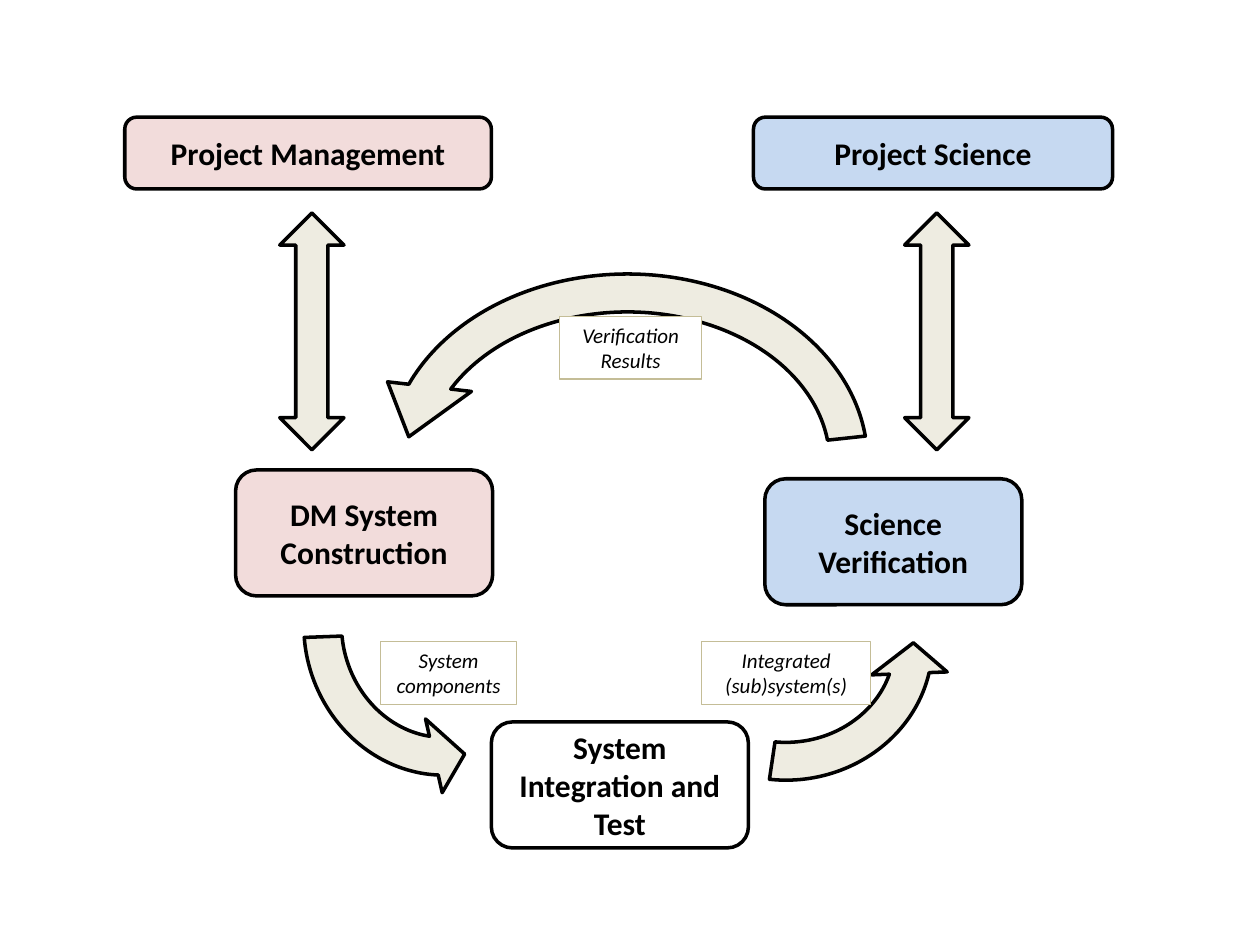
from pptx import Presentation
from pptx.dml.color import RGBColor
from pptx.enum.shapes import MSO_SHAPE
from pptx.enum.text import MSO_ANCHOR, MSO_AUTO_SIZE, PP_ALIGN
from pptx.util import Inches, Pt

ROUND, RECT = MSO_SHAPE.ROUNDED_RECTANGLE, MSO_SHAPE.RECTANGLE
UP_DOWN, CURVED = MSO_SHAPE.UP_DOWN_ARROW, MSO_SHAPE.CIRCULAR_ARROW
MIDDLE, TOP = MSO_ANCHOR.MIDDLE, MSO_ANCHOR.TOP
CENTER = PP_ALIGN.CENTER
GROW = MSO_AUTO_SIZE.SHAPE_TO_FIT_TEXT

BLACK = RGBColor(0x00, 0x00, 0x00)
WHITE = RGBColor(0xFF, 0xFF, 0xFF)
PINK = RGBColor(0xF2, 0xDC, 0xDB)
BLUE = RGBColor(0xC6, 0xD9, 0xF1)
CREAM = RGBColor(0xEE, 0xEC, 0xE1)
TAN = RGBColor(0xC4, 0xBD, 0x97)

STAGE_W, STAGE_H = 2.04, 1
HEADER_Y, HEADER_H = 0.93, 0.57
LABEL_H = 0.5

BOXES = [
    ("DM System Construction", 1.87, 3.73, STAGE_W, STAGE_H, PINK),
    ("System Integration and Test", 3.9, 5.73, STAGE_W, STAGE_H, WHITE),
    ("Science Verification", 6.07, 3.8, STAGE_W, STAGE_H, BLUE),
    ("Project Science", 5.98, HEADER_Y, 2.85, HEADER_H, BLUE),
    ("Project Management", 0.99, HEADER_Y, 2.91, HEADER_H, PINK),
]
LONG_ARC = (0.09, 8.56, 203.53, 111.7, 0.1)
SHORT_ARC = (0.125, 8.56, 204.58, 152.79, 0.125)
CURVED_ARROWS = [
    (2.89, 1.99, 4.18, 3.35, 0, LONG_ARC),
    (2.18, 3.82, 2.58, 2.4, 252.5, SHORT_ARC),
    (4.97, 3.94, 2.58, 2.4, 173, SHORT_ARC),
]
STRAIGHT_ARROWS_X = [7.18, 2.22]
LABELS = [
    ("System\vcomponents", 3.02, 5.09, 1.08, False),
    ("Integrated (sub)system(s)", 5.57, 5.09, 1.34, True),
    ("Verification Results", 4.44, 2.51, 1.13, True),
]

prs = Presentation()
prs.slide_width, prs.slide_height = Inches(10), Inches(7.5)
s = prs.slides.add_slide(prs.slide_layouts[6])


def add_outlined(kind, x, y, w, h, fill, line=BLACK, width=2):
    sp = s.shapes.add_shape(kind, Inches(x), Inches(y), Inches(w), Inches(h))
    sp.shadow.inherit = False
    sp.fill.solid()
    sp.fill.fore_color.rgb = fill
    sp.line.color.rgb = line
    sp.line.width = Pt(width)
    return sp


def write(sp, text, size=18, bold=False, italic=False, anchor=MIDDLE, wrap=True):
    tf = sp.text_frame
    tf.word_wrap = wrap
    tf.vertical_anchor = anchor
    p = tf.paragraphs[0]
    p.text = text
    p.alignment = CENTER
    for r in p.runs:
        r.font.name = "Calibri"
        r.font.size = Pt(size)
        r.font.bold = bold
        r.font.italic = italic
        r.font.color.rgb = BLACK


def add_curved_arrow(x, y, w, h, rotation, arc):
    sp = add_outlined(CURVED, x, y, w, h, CREAM)
    sp.rotation = rotation
    sp.element.spPr.xfrm.set("flipH", "1")
    for i, value in enumerate(arc):
        sp.adjustments[i] = value


for text, x, y, w, h, fill in BOXES:
    write(add_outlined(ROUND, x, y, w, h, fill), text, bold=True)

for arrow in CURVED_ARROWS:
    add_curved_arrow(*arrow)

for x in STRAIGHT_ARROWS_X:
    add_outlined(UP_DOWN, x, 1.69, 0.51, 1.88, CREAM)

for text, x, y, w, wrap in LABELS:
    sp = add_outlined(RECT, x, y, w, LABEL_H, WHITE, line=TAN, width=0.75)
    write(sp, text, size=12, italic=True, anchor=TOP, wrap=wrap)
    sp.text_frame.auto_size = GROW

prs.save("out.pptx")
